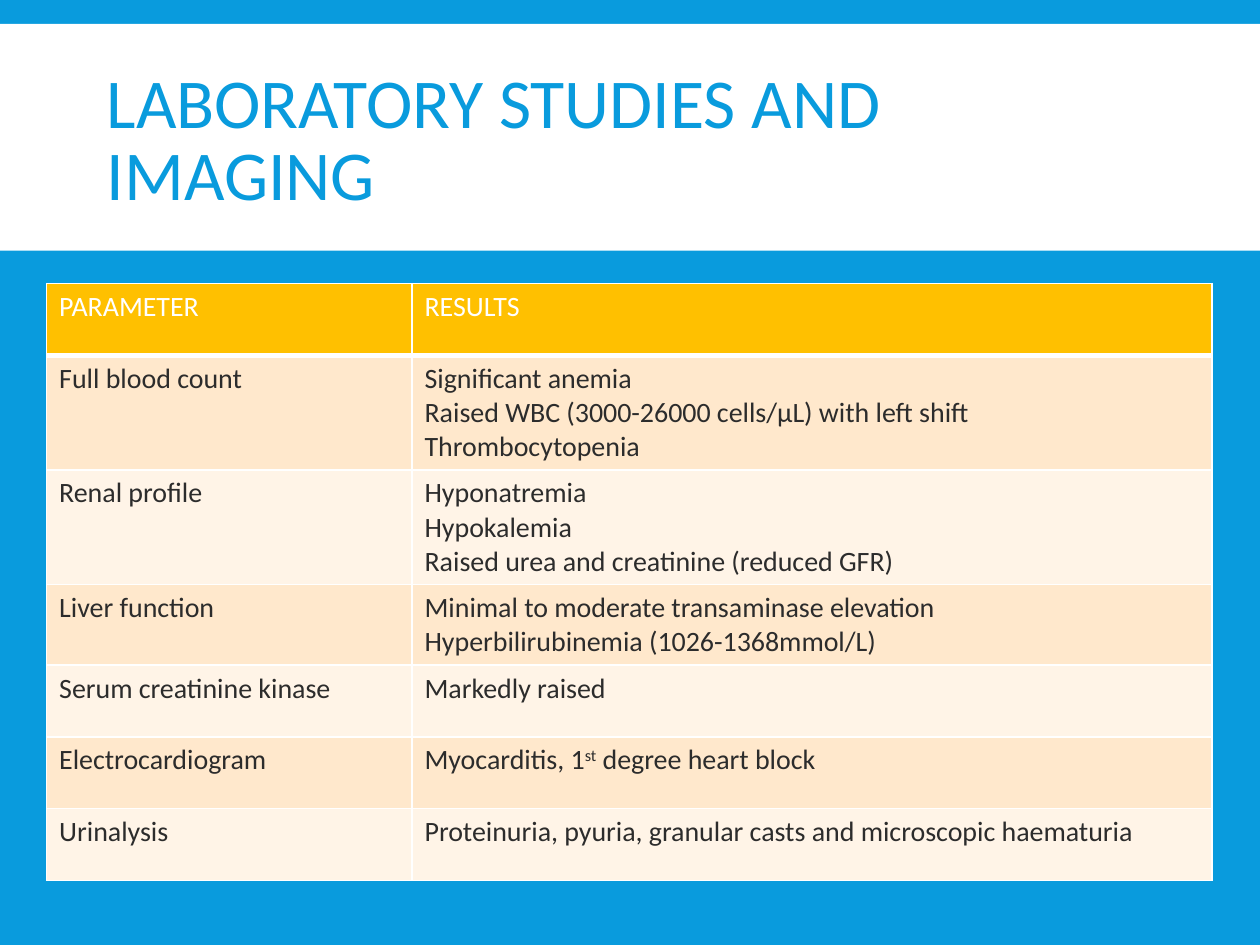
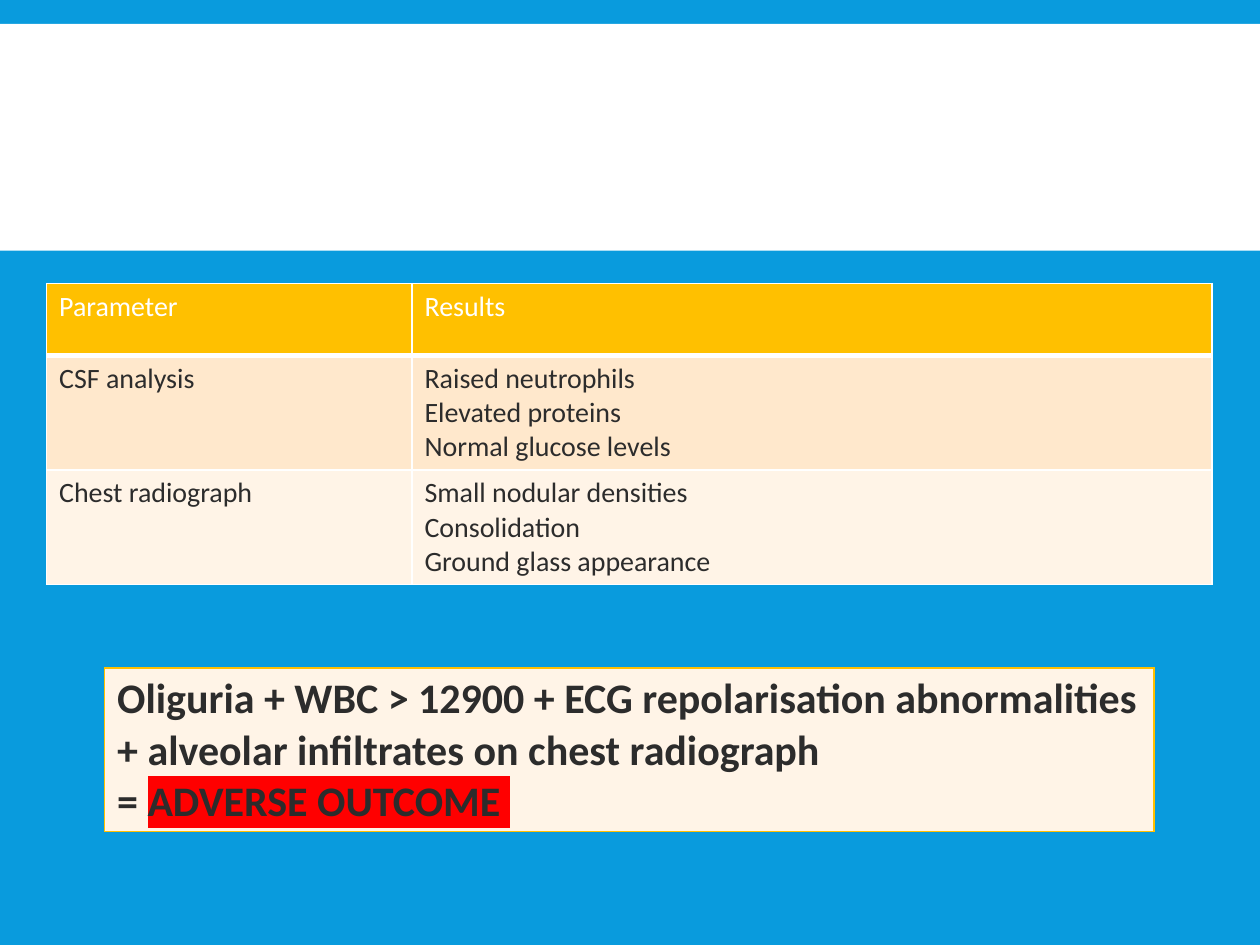
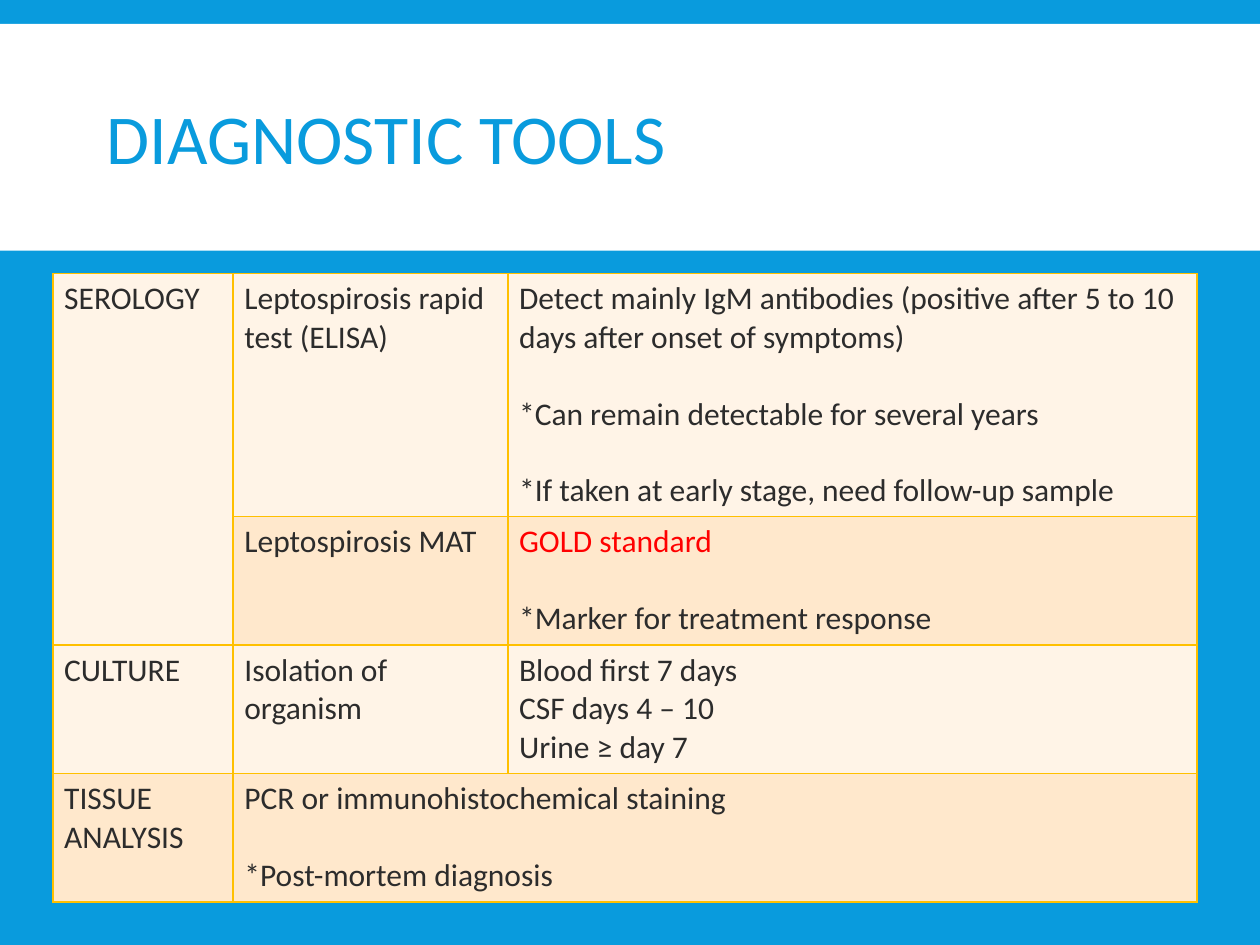
import pptx
import pptx.util
import pptx.dml.color
import pptx.enum.shapes
import pptx.enum.text
import pptx.oxml.ns
from dataclasses import dataclass
from lxml import etree

Inches = pptx.util.Inches
Pt = pptx.util.Pt
qn = pptx.oxml.ns.qn


def rgb(code):
    return pptx.dml.color.RGBColor.from_string(code)


@dataclass(frozen=True)
class Theme:
    font: str = "Calibri"
    blue: str = "099BDD"
    white: str = "FFFFFF"
    gold: str = "FFC000"
    sand: str = "FFE8CC"
    cream: str = "FFF4E7"
    ink: str = "2C2C2C"
    red: str = "FF0000"
    title: int = 40
    lab: int = 16
    tool: int = 18
    alert: int = 24
    line: float = 1.22


class Deck:
    def __init__(self, theme):
        self.theme = theme
        self.show = pptx.Presentation()
        self.show.slide_width = Inches(10)
        self.show.slide_height = Inches(7.5)
        self.slide = None

    def page(self, title=None):
        self.slide = self.show.slides.add_slide(self.show.slide_layouts[6])
        fill = self.slide.background.fill
        fill.solid()
        fill.fore_color.rgb = rgb(self.theme.blue)
        self.band()
        if title:
            self.title(title)

    def band(self):
        kind = pptx.enum.shapes.MSO_SHAPE.RECTANGLE
        band = self.slide.shapes.add_shape(
            kind, Inches(0), Inches(0.19), Inches(10), Inches(1.8))
        band.shadow.inherit = False
        band.fill.solid()
        band.fill.fore_color.rgb = rgb(self.theme.white)
        band.line.fill.background()

    def title(self, text):
        box = self.slide.shapes.add_textbox(
            Inches(0.75), Inches(0.31), Inches(8.5), Inches(1.65))
        frame = box.text_frame
        frame.word_wrap = True
        frame.vertical_anchor = pptx.enum.text.MSO_ANCHOR.MIDDLE
        para = frame.paragraphs[0]
        para.line_spacing = 0.85
        self.run(para, text, self.theme.title, self.theme.blue)

    def run(self, para, text, size, color, bold=False, mark=None, base=None):
        run = para.add_run()
        run.text = text
        run.font.size = Pt(size)
        run.font.bold = bold
        run.font.color.rgb = rgb(color)
        run.font.name = self.theme.font
        props = run._r.get_or_add_rPr()
        if mark:
            light = etree.Element(qn("a:highlight"))
            etree.SubElement(light, qn("a:srgbClr"), val=mark)
            props.find(qn("a:solidFill")).addnext(light)
        if base:
            props.set("baseline", str(base * 1000))

    def label(self, cell, lines, size, color, bold):
        frame = cell.text_frame
        for i, line in enumerate(lines):
            para = frame.paragraphs[0] if i == 0 else frame.add_paragraph()
            runs = [(line, {})] if isinstance(line, str) else line
            if runs[0][0].startswith("*"):
                para.space_before = Pt(size * self.theme.line)
            for text, look in runs:
                style = {"size": size, "color": color, "bold": bold}
                self.run(para, text, **{**style, **look})

    def edge(self, cell, side, color, width):
        props = cell._tc.get_or_add_tcPr()
        line = etree.SubElement(props, qn("a:ln" + side), w=str(Pt(width)))
        fill = etree.SubElement(line, qn("a:solidFill"))
        etree.SubElement(fill, qn("a:srgbClr"), val=color)

    def table(self, left, top, cols, highs, rows, size, rule,
              head=False, bold=False, pad=0.1, spans=()):
        theme = self.theme
        grid = self.slide.shapes.add_table(
            len(rows), len(cols), Inches(left), Inches(top),
            Inches(sum(cols)), Inches(sum(highs))).table
        grid.first_row = False
        grid.horz_banding = False
        for col, wide in zip(grid.columns, cols):
            col.width = Inches(wide)
        for r, (high, cells) in enumerate(zip(highs, rows)):
            grid.rows[r].height = Inches(high)
            first = head and r == 0
            shade = theme.gold if first else (theme.cream, theme.sand)[r % 2]
            color = theme.white if first else theme.ink
            for c, lines in enumerate(cells):
                cell = grid.cell(r, c)
                cell.margin_left = cell.margin_right = Inches(pad)
                for side in "LRTB":
                    thick = head and (r, side) in ((0, "B"), (1, "T"))
                    self.edge(cell, side, rule, 3 if thick else 1)
                cell.fill.solid()
                cell.fill.fore_color.rgb = rgb(shade)
                self.label(cell, lines, size, color, bold)
        for start, end in spans:
            grid.cell(*start).merge(grid.cell(*end))

    def labs(self, highs, rows):
        self.table(0.37, 2.25, [2.9, 6.35], highs, rows,
                   self.theme.lab, self.theme.white, head=True)


def main():
    theme = Theme()
    deck = Deck(theme)
    low, mid, tall = 0.57, 0.64, 0.91

    deck.page("LABORATORY STUDIES AND IMAGING")
    deck.labs([low, tall, tall, mid, low, low, low], [
        [["PARAMETER"], ["RESULTS"]],
        [["Full blood count"],
         ["Significant anemia",
          "Raised WBC (3000-26000 cells/μL) with left shift",
          "Thrombocytopenia"]],
        [["Renal profile"],
         ["Hyponatremia", "Hypokalemia",
          "Raised urea and creatinine (reduced GFR)"]],
        [["Liver function"],
         ["Minimal to moderate transaminase elevation",
          "Hyperbilirubinemia (1026-1368mmol/L)"]],
        [["Serum creatinine kinase"], ["Markedly raised"]],
        [["Electrocardiogram"],
         [[("Myocarditis, 1", {}), ("st", {"base": 30}),
           (" degree heart block", {})]]],
        [["Urinalysis"],
         ["Proteinuria, pyuria, granular casts and microscopic haematuria"]],
    ])

    deck.page()
    deck.table(0.83, 5.3, [8.33], [1.3], [[[
        "Oliguria + WBC > 12900 + ECG repolarisation abnormalities "
        "+ alveolar infiltrates on chest radiograph",
        [("= ", {}), ("ADVERSE OUTCOME ", {"mark": theme.red})],
    ]]], theme.alert, theme.gold, bold=True)
    deck.labs([low, tall, tall], [
        [["Parameter"], ["Results"]],
        [["CSF analysis"],
         ["Raised neutrophils", "Elevated proteins",
          "Normal glucose levels"]],
        [["Chest radiograph"],
         ["Small nodular densities", "Consolidation",
          "Ground glass appearance"]],
    ])

    deck.page("DIAGNOSTIC TOOLS")
    deck.table(0.42, 2.17, [1.43, 2.18, 5.47], [1.93] + [1.02] * 3, [
        [["SEROLOGY"], ["Leptospirosis rapid test (ELISA)"],
         ["Detect mainly IgM antibodies (positive after 5 to 10 days "
          "after onset of symptoms)",
          "*Can remain detectable for several years",
          "*If taken at early stage, need follow-up sample"]],
        [[], ["Leptospirosis MAT"],
         [[("GOLD standard", {"color": theme.red})],
          "*Marker for treatment response"]],
        [["CULTURE"], ["Isolation of organism"],
         ["Blood first 7 days", "CSF days 4 – 10", "Urine ≥ day 7"]],
        [["TISSUE ANALYSIS"],
         ["PCR or immunohistochemical staining",
          "*Post-mortem diagnosis"], []],
    ], theme.tool, theme.gold, pad=0.09,
        spans=[((0, 0), (1, 0)), ((3, 1), (3, 2))])

    deck.show.save("out.pptx")


if __name__ == "__main__":
    main()
